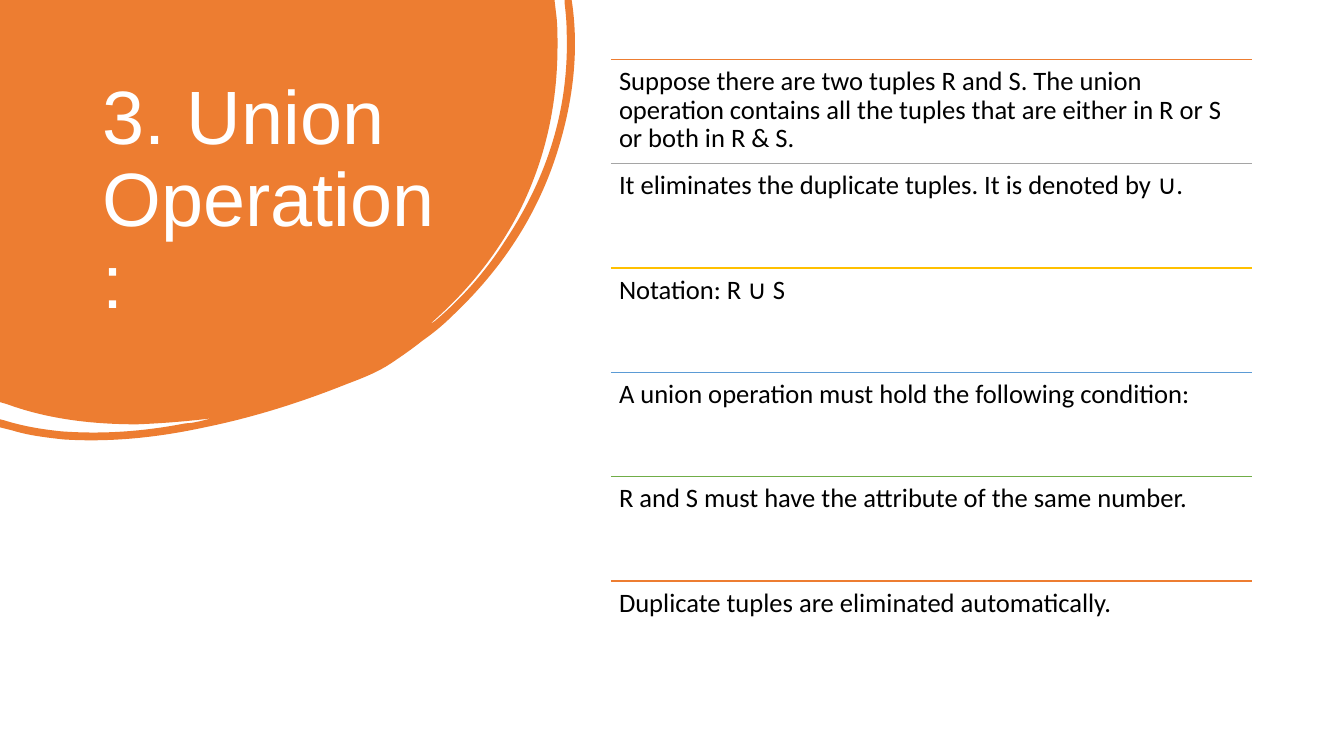
"""Builds the Union Operation slide: a brushed title blob and six ruled points."""
from dataclasses import dataclass

from lxml.etree import SubElement
from pptx import Presentation
from pptx.dml.color import RGBColor
from pptx.enum.shapes import MSO_CONNECTOR
from pptx.enum.text import MSO_ANCHOR, MSO_AUTO_SIZE, PP_ALIGN
from pptx.oxml.ns import qn
from pptx.shapes.autoshape import Shape
from pptx.slide import Slide
from pptx.text.text import TextFrame
from pptx.util import Inches, Pt


@dataclass(frozen=True)
class Theme:
    orange: str = "ED7D31"
    gray: str = "A5A5A5"
    gold: str = "FFC000"
    blue: str = "5B9BD5"
    green: str = "70AD47"
    black: str = "000000"
    white: str = "FFFFFF"
    head: str = "Arial"
    body: str = "Calibri"
    big: float = 54
    small: float = 19
    rule: float = 1


@dataclass(frozen=True)
class Point:
    text: str
    color: str


@dataclass(frozen=True)
class Edge:
    end: tuple[float, float]
    pulls: tuple[tuple[float, float], ...] = ()


def bend(a: float, b: float, c: float, d: float, x: float, y: float) -> Edge:
    return Edge((x, y), ((a, b), (c, d)))


THEME = Theme()
LEFT, RIGHT, TOP, BOTTOM = 6.06, 12.42, 0.59, 6.8
PAD = 0.08
WIDE, HIGH = 5.71, 4.37

POINTS = [
    Point("Suppose there are two tuples R and S. The union operation contains "
          "all the tuples that are either in R or S or both in R & S.", THEME.orange),
    Point("It eliminates the duplicate tuples. It is denoted by ∪.", THEME.gray),
    Point("Notation: R ∪ S", THEME.gold),
    Point("A union operation must hold the following condition:", THEME.blue),
    Point("R and S must have the attribute of the same number.", THEME.green),
    Point("Duplicate tuples are eliminated automatically.", THEME.orange),
]

EDGES = [
    Edge((5.5, 0)),
    Edge((5.52, 0.17)),
    bend(5.53, 0.26, 5.53, 0.36, 5.53, 0.45),
    bend(5.53, 1.01, 5.42, 1.54, 5.18, 2.04),
    bend(4.96, 2.49, 4.65, 2.88, 4.27, 3.21),
    bend(4.29, 3.21, 4.3, 3.19, 4.32, 3.18),
    bend(4.59, 2.95, 4.82, 2.69, 5.01, 2.39),
    bend(5.43, 1.76, 5.65, 1.07, 5.62, 0.3),
    bend(5.62, 0.21, 5.61, 0.12, 5.6, 0.03),
    Edge((5.6, 0)),
    Edge((5.67, 0)),
    Edge((5.68, 0.07)),
    bend(5.74, 0.54, 5.68, 1.02, 5.53, 1.5),
    bend(5.33, 2.14, 4.97, 2.68, 4.48, 3.14),
    bend(4.39, 3.23, 4.29, 3.31, 4.19, 3.38),
    bend(4.09, 3.46, 3.99, 3.53, 3.87, 3.61),
    bend(3.75, 3.69, 3.6, 3.75, 3.44, 3.81),
    bend(2.99, 3.99, 2.52, 4.14, 2.03, 4.24),
    bend(1.57, 4.34, 1.1, 4.39, 0.63, 4.36),
    bend(0.45, 4.34, 0.28, 4.32, 0.12, 4.27),
    Edge((0, 4.24)),
    Edge((0, 4.16)),
    Edge((0.04, 4.17)),
    bend(0.23, 4.23, 0.42, 4.26, 0.61, 4.28),
    bend(1.03, 4.31, 1.43, 4.28, 1.84, 4.2),
    bend(1.89, 4.2, 1.93, 4.19, 1.98, 4.18),
    bend(2.02, 4.17, 2.06, 4.16, 2.1, 4.15),
    bend(1.86, 4.18, 1.61, 4.2, 1.36, 4.21),
    bend(0.92, 4.21, 0.48, 4.16, 0.07, 4.01),
    Edge((0, 3.99)),
]


def curve(blob: Shape) -> None:
    lines = list(blob.element.iter(qn("a:lnTo")))
    for line, edge in zip(lines, EDGES):
        if not edge.pulls:
            continue
        line.tag = qn("a:cubicBezTo")
        for spot, (x, y) in enumerate(edge.pulls):
            pull = SubElement(line, qn("a:pt"), x=str(Inches(x)), y=str(Inches(y)))
            line.insert(spot, pull)
    track = next(blob.element.iter(qn("a:path")))
    track.set("w", str(Inches(WIDE)))
    track.set("h", str(Inches(HIGH)))
    blob.width, blob.height = Inches(WIDE), Inches(HIGH)


def write(frame: TextFrame, text: str, face: str, size: float, color: str) -> None:
    frame.word_wrap = True
    frame.auto_size = MSO_AUTO_SIZE.NONE
    frame.vertical_anchor = MSO_ANCHOR.TOP
    frame.text = text
    para = frame.paragraphs[0]
    para.alignment = PP_ALIGN.LEFT
    para.line_spacing = 0.9
    para.font.name = face
    para.font.size = Pt(size)
    para.font.color.rgb = RGBColor.from_string(color)


def draw_title(slide: Slide) -> None:
    title = slide.shapes.title
    title.left, title.top = Inches(0.92), Inches(0.74)
    title.width, title.height = Inches(3.52), Inches(2.22)
    write(title.text_frame, "3. Union Operation:", THEME.head, THEME.big, THEME.white)

    pen = slide.shapes.build_freeform(0, 0)
    ends = [(Inches(x), Inches(y)) for x, y in (edge.end for edge in EDGES)]
    pen.add_line_segments(ends, close=True)
    blob = pen.convert_to_shape()
    curve(blob)
    blob.shadow.inherit = False
    blob.fill.solid()
    blob.fill.fore_color.rgb = RGBColor.from_string(THEME.orange)
    blob.line.fill.background()
    title.element.addprevious(blob.element)


def draw_point(slide: Slide, point: Point, top: float, height: float) -> None:
    rule = slide.shapes.add_connector(
        MSO_CONNECTOR.STRAIGHT, Inches(LEFT), Inches(top), Inches(RIGHT), Inches(top))
    rule.line.color.rgb = RGBColor.from_string(point.color)
    rule.line.width = Pt(THEME.rule)
    SubElement(rule.element.spPr, qn("a:effectLst"))

    box = slide.shapes.add_textbox(
        Inches(LEFT), Inches(top), Inches(RIGHT - LEFT), Inches(height))
    frame = box.text_frame
    frame.margin_left = frame.margin_right = Inches(PAD)
    frame.margin_top = frame.margin_bottom = Inches(PAD)
    write(frame, point.text, THEME.body, THEME.small, THEME.black)


def main() -> None:
    deck = Presentation()
    deck.slide_width, deck.slide_height = Inches(13.33), Inches(7.5)
    slide = deck.slides.add_slide(deck.slide_layouts[5])
    draw_title(slide)
    pitch = (BOTTOM - TOP) / len(POINTS)
    for row, point in enumerate(POINTS):
        draw_point(slide, point, TOP + row * pitch, pitch)
    deck.save("out.pptx")


if __name__ == "__main__":
    main()
